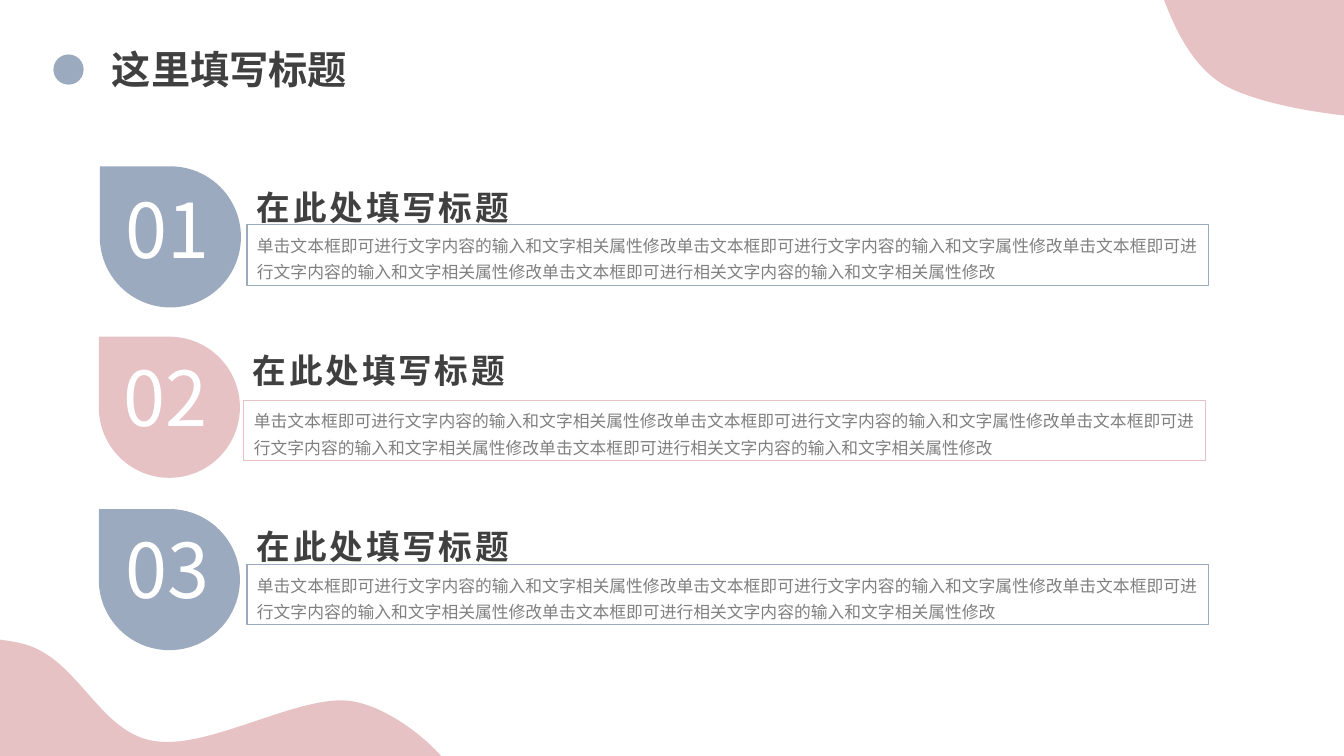
from lxml.etree import SubElement
from pptx import Presentation
from pptx.dml.color import RGBColor
from pptx.enum.shapes import MSO_SHAPE
from pptx.enum.text import MSO_ANCHOR, MSO_AUTO_SIZE, PP_ALIGN
from pptx.oxml.ns import qn
from pptx.util import Inches, Pt

FONT = "Noto Sans CJK SC"
BLUE, PINK, DARK, GREY, WHITE = "9BAABF", "E7C2C4", "404040", "808080", "FFFFFF"
TITLE = "这里填写标题"
HEADING = "在此处填写标题"
BODY = (
    "单击文本框即可进行文字内容的输入和文字相关属性修改"
    "单击文本框即可进行文字内容的输入和文字属性修改"
    "单击文本框即可进行文字内容的输入和文字相关属性修改"
    "单击文本框即可进行相关文字内容的输入和文字相关属性修改"
)
ITEMS = [
    ("01", BLUE, (0.99, 1.65), (1.07, 1.77), (2.45, 1.72), (2.45, 2.23)),
    ("02", PINK, (0.98, 3.34), (1.05, 3.43), (2.41, 3.34), (2.42, 3.97)),
    ("03", BLUE, (0.98, 5.05), (1.07, 5.14), (2.45, 5.09), (2.45, 5.6)),
]
TOP_BLOB = [
    (11.26, -0.91),
    (11.4, -0.62), (11.54, 0.53), (12.17, 0.86),
    (12.81, 1.19), (14.54, 1.31), (15.06, 1.05),
    (15.58, 0.79), (15.67, -0.35), (15.3, -0.72),
    (14.93, -1.1), (13.49, -1.16), (12.83, -1.19),
    (12.17, -1.22), (11.59, -0.93), (11.32, -0.89),
    (11.06, -0.84), (11.12, -1.2), (11.26, -0.91),
]
BOTTOM_BLOB = [
    (-1.7, 6.49),
    (-1.37, 6.36), (-0.29, 6.25), (0.24, 6.39),
    (0.78, 6.54), (0.98, 7.26), (1.52, 7.35),
    (2.07, 7.45), (3, 6.86), (3.51, 6.96),
    (4.03, 7.06), (4.65, 7.68), (4.6, 7.95),
    (4.56, 8.22), (4.28, 8.69), (3.22, 8.55),
    (2.16, 8.42), (-0.94, 7.48), (-1.75, 7.14),
    (-2.57, 6.79), (-2.03, 6.61), (-1.7, 6.49),
]
UNITS_PER_INCH = 100


def color(value):
    return RGBColor.from_string(value)


def paint(s, fill=None, line=None):
    s.shadow.inherit = False
    if fill:
        s.fill.solid()
        s.fill.fore_color.rgb = color(fill)
    else:
        s.fill.background()
    if line:
        s.line.color.rgb = color(line)
        s.line.width = Pt(0.75)
    else:
        s.line.fill.background()


def add_shape(kind, x, y, w, h, fill=None, line=None):
    s = slide.shapes.add_shape(kind, Inches(x), Inches(y), Inches(w), Inches(h))
    paint(s, fill, line)
    return s


def add_blob(points):
    start, *rest = [(round(x * UNITS_PER_INCH), round(y * UNITS_PER_INCH)) for x, y in points]
    builder = slide.shapes.build_freeform(*start, scale=Inches(1) / UNITS_PER_INCH)
    builder.add_line_segments(rest, close=False)
    s = builder.convert_to_shape()
    outline = next(s._element.iter(qn("a:path")))
    segments = outline.findall(qn("a:lnTo"))
    for i in range(0, len(segments), 3):
        curve = SubElement(outline, qn("a:cubicBezTo"))
        for segment in segments[i:i + 3]:
            curve.append(segment[0])
            outline.remove(segment)
    SubElement(outline, qn("a:close"))
    paint(s, PINK)


def write(s, text, size, ink, bold=False, align=PP_ALIGN.LEFT, spacing=None, tracking=0):
    tf = s.text_frame
    tf.word_wrap = True
    tf.auto_size = MSO_AUTO_SIZE.SHAPE_TO_FIT_TEXT
    tf.vertical_anchor = MSO_ANCHOR.TOP
    p = tf.paragraphs[0]
    p.alignment = align
    if spacing:
        p.line_spacing = spacing
    r = p.add_run()
    r.text = text
    r.font.size = Pt(size)
    r.font.bold = bold
    r.font.name = FONT
    r.font.color.rgb = color(ink)
    rPr = r.font._element
    SubElement(rPr, qn("a:ea")).set("typeface", FONT)
    if tracking:
        rPr.set("spc", str(tracking * 100))


def add_text(x, y, w, h, *args, **style):
    box = slide.shapes.add_textbox(Inches(x), Inches(y), Inches(w), Inches(h))
    write(box, *args, **style)


prs = Presentation()
prs.slide_width, prs.slide_height = Inches(13.33), Inches(7.5)
slide = prs.slides.add_slide(prs.slide_layouts[6])

add_blob(TOP_BLOB)
add_blob(BOTTOM_BLOB)
add_text(0.75, 0.4, 3.05, 0.57, TITLE, 28, DARK, bold=True, align=PP_ALIGN.CENTER)
add_shape(MSO_SHAPE.OVAL, 0.53, 0.54, 0.3, 0.3, BLUE)

for number, tint, drop_at, number_at, heading_at, body_at in ITEMS:
    drop = add_shape(MSO_SHAPE.TEAR, *drop_at, 1.4, 1.4, tint)
    drop.rotation = 270
    add_text(*number_at, 1.19, 1.01, number, 54, WHITE, align=PP_ALIGN.CENTER)
    body = add_shape(MSO_SHAPE.RECTANGLE, *body_at, 9.54, 0.6, line=tint)
    write(body, BODY, 12, GREY, spacing=1.3)
    add_text(*heading_at, 3.08, 0.55, HEADING, 24, DARK, bold=True, spacing=1.2, tracking=2)

prs.save("out.pptx")
